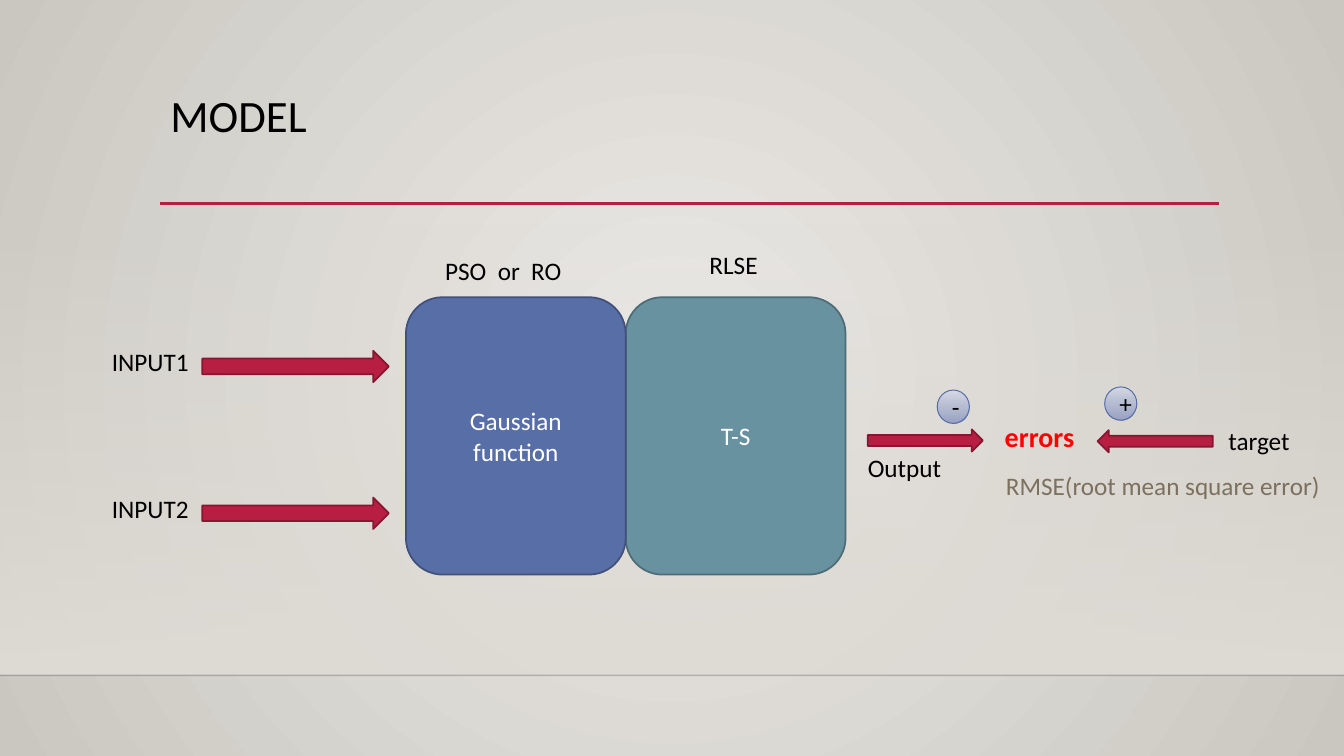
import pptx
import pptx.dml.color
import pptx.enum.shapes
import pptx.enum.text
import pptx.oxml.ns
import pptx.oxml.xmlchemy
import pptx.util
from lxml import etree
from pptx.util import Cm

SHAPE = pptx.enum.shapes.MSO_SHAPE
ALIGN = pptx.enum.text.PP_ALIGN
ANCHOR = pptx.enum.text.MSO_ANCHOR
qn = pptx.oxml.ns.qn

COLORS = {
    "black": "000000", "white": "FFFFFF", "error": "FF0000", "note": "7C705E",
    "crimson": "B71E42", "crimson edge": "871631",
    "blue": "586EA6", "blue edge": "41517B",
    "teal": "6892A0", "teal edge": "4D6C76",
    "centre": "ECEAE7", "rim": "CAC7C1", "band": "DFDBD5",
    "sign light": "D6D9E5", "sign dark": "929DC0",
}


def rgb(name):
    return pptx.dml.color.RGBColor.from_string(COLORS[name])


def set_alpha(element, percent):
    """Make the colour held in the element partly transparent."""
    color = next(element.iter(qn("a:srgbClr")))
    etree.SubElement(color, qn("a:alpha"), val=str(percent * 1000))


def fill_gradient(fill, names):
    """Fill with two colours running from top to bottom."""
    fill.gradient()
    fill.gradient_angle = 270
    for stop, name, position in zip(fill.gradient_stops, names, (0, 1)):
        stop.color.rgb = rgb(name)
        stop.position = position


def fill_background(page):
    fill_gradient(page.background.fill, ("centre", "rim"))
    gradient = next(page.element.iter(qn("a:gradFill")))
    gradient.remove(gradient.find(qn("a:lin")))
    circle = etree.SubElement(gradient, qn("a:path"), {"path": "circle"})
    etree.SubElement(circle, qn("a:fillToRect"), l="50000", t="50000", r="50000", b="50000")


def write(frame, text, color="black", size=18, bold=False, align=ALIGN.CENTER):
    frame.text = text
    font_values = {"name": "Calibri", "size": pptx.util.Pt(size), "bold": bold}
    for para in frame.paragraphs:
        para.alignment = align
        for span in para.runs:
            for key, value in font_values.items():
                setattr(span.font, key, value)
            span.font.color.rgb = rgb(color)


def add_line(page, left, right, y, color, width):
    straight = pptx.enum.shapes.MSO_CONNECTOR.STRAIGHT
    line = page.shapes.add_connector(straight, Cm(left), Cm(y), Cm(right), Cm(y))
    line.line.color.rgb = rgb(color)
    line.line.width = pptx.util.Pt(width)
    etree.SubElement(line.element.spPr, qn("a:effectLst"))
    return line


def add_shape(page, kind, place, fill, edge=None, width=1.25):
    """Add a shape; a pair of fill colours gives a gradient."""
    shape = page.shapes.add_shape(kind, *map(Cm, place))
    shape.shadow.inherit = False
    if isinstance(fill, tuple):
        fill_gradient(shape.fill, fill)
    else:
        shape.fill.solid()
        shape.fill.fore_color.rgb = rgb(fill)
    if edge:
        shape.line.color.rgb = rgb(edge)
        shape.line.width = pptx.util.Pt(width)
    else:
        shape.line.fill.background()
    return shape


def add_block(page, left, text, color):
    place = (left, 7.49, 5.54, 6.99)
    block = add_shape(page, SHAPE.ROUNDED_RECTANGLE, place, color, f"{color} edge")
    write(block.text_frame, text, "white")


def add_arrow(page, *place):
    return add_shape(page, SHAPE.RIGHT_ARROW, place, "crimson", "crimson edge")


def add_sign(page, left, top, text):
    place = (left, top, 0.81, 0.84)
    sign = add_shape(page, SHAPE.OVAL, place, ("sign light", "sign dark"), "blue", 0.75)
    set_alpha(list(sign.element.iter(qn("a:gs")))[-1], 92)
    write(sign.text_frame, text)


def add_label(page, left, top, width, text, height=1.02, wrap=False, **style):
    box = page.shapes.add_textbox(Cm(left), Cm(top), Cm(width), Cm(height))
    box.text_frame.word_wrap = wrap
    write(box.text_frame, text, align=ALIGN.LEFT, **style)


def add_title(page, text):
    title = page.shapes.title
    place = {"left": 4.04, "top": 2.24, "width": 26.67, "height": 2.92}
    for key, value in place.items():
        setattr(title, key, Cm(value))
    title.text_frame.vertical_anchor = ANCHOR.TOP
    write(title.text_frame, text, size=32, align=ALIGN.LEFT)
    title.text_frame.paragraphs[0].line_spacing = 0.9


def add_backdrop(page):
    band = add_shape(page, SHAPE.RECTANGLE, (0, 5.61, 33.87, 11.4), ("band", "band"))
    set_alpha(band.element.spPr, 0)
    floor = add_line(page, 0, 33.87, 17.02, "black", 1)
    set_alpha(floor.element.spPr, 20)
    add_line(page, 4.04, 30.73, 5.13, "crimson", 2.5)


def main():
    deck = pptx.Presentation()
    deck.slide_width, deck.slide_height = Cm(33.87), Cm(19.05)
    page = deck.slides.add_slide(deck.slide_layouts[5])
    fill_background(page)
    add_backdrop(page)
    add_title(page, "MODEL")

    add_block(page, 15.77, "T-S", "teal")
    add_block(page, 10.23, "Gaussian\nfunction", "blue")
    add_label(page, 10.97, 6.32, 4.06, "PSO  or  RO", wrap=True)
    add_label(page, 17.63, 6.17, 1.83, "RLSE")

    for text, top in (("INPUT1", 8.6), ("INPUT2", 12.3)):
        add_label(page, 2.57, top, 2.67, text)
        add_arrow(page, 5.1, top + 0.24, 4.7, 0.79)

    add_arrow(page, 21.87, 10.82, 2.9, 0.56)
    add_arrow(page, 27.66, 10.84, 2.9, 0.56).rotation = 180
    add_sign(page, 23.62, 9.83, "-")
    add_sign(page, 27.84, 9.75, "+")
    add_label(page, 21.62, 11.28, 2.44, "Output")
    add_label(page, 30.71, 10.59, 2.06, "target")
    add_label(page, 25.07, 10.44, 2.57, "errors", 1.12, color="error", size=20, bold=True)
    add_label(page, 25.1, 11.73, 8.61, "RMSE(root mean square error)", color="note")
    deck.save("out.pptx")


if __name__ == "__main__":
    main()
